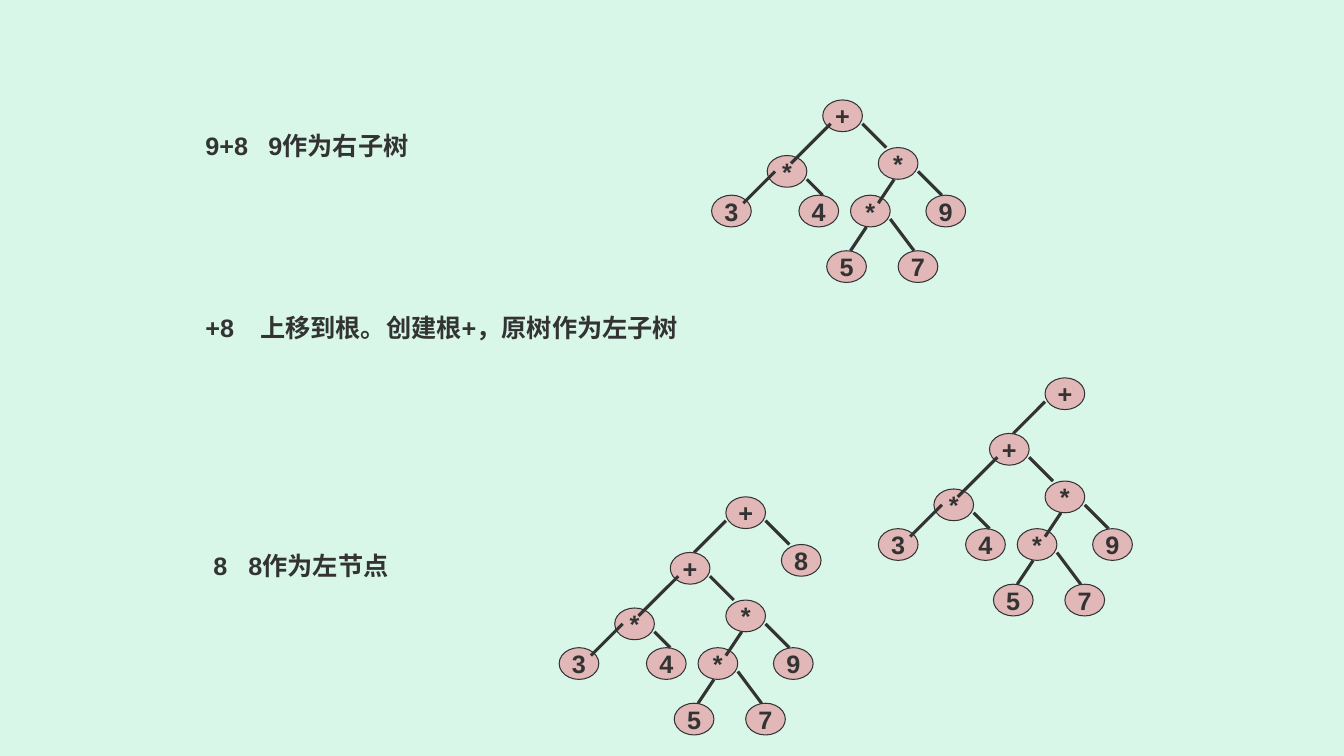
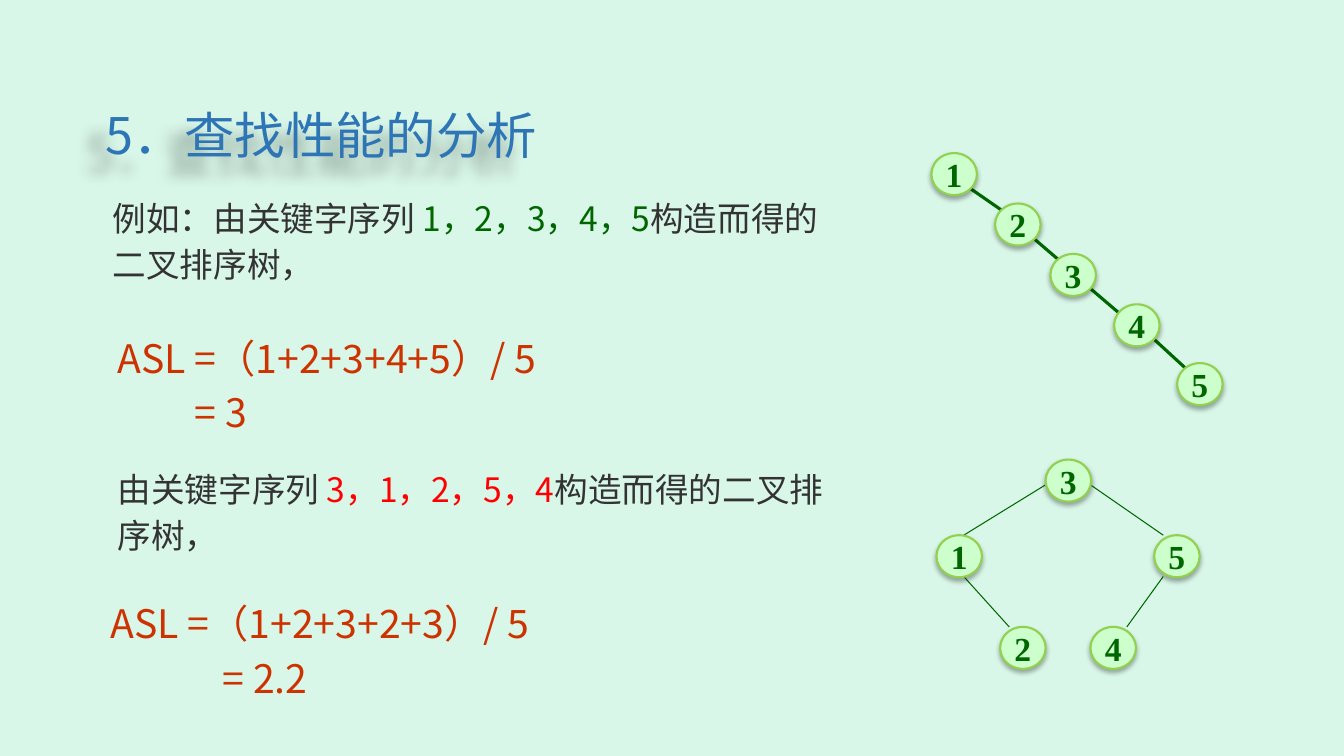
from dataclasses import dataclass

import lxml.etree
import pptx
import pptx.dml.color
import pptx.enum.shapes
import pptx.enum.text
import pptx.oxml
import pptx.oxml.ns
import pptx.util

Pt = pptx.util.Pt
qn = pptx.oxml.ns.qn
ALIGN = pptx.enum.text.PP_ALIGN
ANCHOR = pptx.enum.text.MSO_ANCHOR

BACKGROUND = "D9F7E9"
INK = "333333"
BLUE = "2E75B6"
GREEN = "006600"
RED = "FF0000"
RUST = "CC3300"
CJK_FONT = "Noto Sans CJK SC"


@dataclass
class TreeStyle:
    width: float
    height: float
    fill: str
    outline: str
    outline_width: float
    ink: str
    edge_width: float
    font: str
    size: float
    unit: float = 1
    edges_on_top: bool = False
    shadow: bool = False


GRID = 5.67
EXPRESSION = TreeStyle(5 * GRID, 4 * GRID, "E1B7B7", INK, 0.75, INK, 2.25,
                       "Arial", 18, unit=GRID, edges_on_top=True)
CHAIN = TreeStyle(32.5, 30, "CCFFCC", "92D050", 1.5, GREEN, 2.25,
                  "Times New Roman", 24, shadow=True)
BALANCED = TreeStyle(32.5, 30, "CCFFCC", "92D050", 1.5, GREEN, 0.75,
                     "Times New Roman", 24, shadow=True)

SUBTREE_NODES = [
    ("+", 0, 0), ("*", -7, 7), ("*", 7, 6), ("3", -14, 12), ("4", -3, 12),
    ("*", 3.5, 12), ("9", 13, 12), ("5", 0.5, 19), ("7", 9.5, 19),
]
SUBTREE_EDGES = [
    (1, 3, -4, 8), (5, 3, 8, 6), (-6, 9, -10, 13), (-2, 10, 0, 12),
    (9, 10, 7, 13), (12, 9, 15, 12), (5.5, 16, 3.5, 19), (8.5, 15, 11.5, 19),
]
ROOTED_NODES = SUBTREE_NODES + [("+", 7, -7)]
ROOTED_EDGES = SUBTREE_EDGES + [(7, -4, 3, 0)]
FULL_NODES = ROOTED_NODES + [("8", 14, -1)]
FULL_EDGES = ROOTED_EDGES + [(12, -4, 15, -1)]

CHAIN_NODES = [("1", 0, 0), ("2", 45.5, 36), ("3", 85, 72),
               ("4", 130.5, 108), ("5", 175.5, 150)]
CHAIN_EDGES = [(26, 24, 52, 42), (72, 60, 93, 78),
               (108, 92, 135, 115), (158, 132, 182, 154)]
BALANCED_NODES = [("3", 78, 0), ("1", 0, 54), ("5", 155.5, 54),
                  ("2", 45.5, 119.5), ("4", 110, 119.5)]
BALANCED_EDGES = [(78, 18, 19.5, 54), (110, 18, 162, 54),
                  (19.5, 83.5, 52, 119.5), (162, 83.5, 136, 119.5)]


def color(value):
    return pptx.dml.color.RGBColor.from_string(value)


def write(paragraph, text, font=CJK_FONT, size=24, ink=INK, bold=False):
    run = paragraph.add_run()
    run.text = text
    run.font.name = font
    run.font.size = Pt(size)
    run.font.bold = bold
    run.font.color.rgb = color(ink)
    east_asian = lxml.etree.Element(qn("a:ea"), typeface=CJK_FONT)
    run.font._element.find(qn("a:latin")).addnext(east_asian)


def set_indent(paragraph, indent):
    paragraph._p.get_or_add_pPr().set("marL", str(Pt(indent)))


def set_tab(paragraph, position):
    tabs = lxml.etree.SubElement(paragraph._p.get_or_add_pPr(), qn("a:tabLst"))
    lxml.etree.SubElement(tabs, qn("a:tab"), pos=str(Pt(position)), algn="l")


def add_shadow(shape, blur, distance, angle, opacity):
    shape.shadow.inherit = False
    effects = shape._element.spPr.find(qn("a:effectLst"))
    outer = lxml.etree.SubElement(
        effects, qn("a:outerShdw"), blurRad=str(Pt(blur)),
        dist=str(Pt(distance)), dir=str(angle * 60000), rotWithShape="0")
    black = lxml.etree.SubElement(outer, qn("a:srgbClr"), val="000000")
    lxml.etree.SubElement(black, qn("a:alpha"), val=str(opacity * 1000))


def add_text_box(slide, left, top, width, height):
    shape = slide.shapes.add_textbox(Pt(left), Pt(top), Pt(width), Pt(height))
    shape.text_frame.word_wrap = True
    return shape


def add_node(slide, label, left, top, style):
    shape = slide.shapes.add_shape(
        pptx.enum.shapes.MSO_SHAPE.OVAL,
        Pt(left), Pt(top), Pt(style.width), Pt(style.height))
    shape.shadow.inherit = False
    if style.shadow:
        add_shadow(shape, 3.5, 2.2, 90, 32)
    shape.fill.solid()
    shape.fill.fore_color.rgb = color(style.fill)
    shape.line.color.rgb = color(style.outline)
    shape.line.width = Pt(style.outline_width)
    frame = shape.text_frame
    frame.word_wrap = False
    frame.vertical_anchor = ANCHOR.MIDDLE
    paragraph = frame.paragraphs[0]
    paragraph.alignment = ALIGN.CENTER
    write(paragraph, label, font=style.font, size=style.size,
          ink=style.ink, bold=True)


def add_edge(slide, start_x, start_y, end_x, end_y, style):
    connector = slide.shapes.add_connector(
        pptx.enum.shapes.MSO_CONNECTOR.STRAIGHT,
        Pt(start_x), Pt(start_y), Pt(end_x), Pt(end_y))
    connector.line.color.rgb = color(style.ink)
    connector.line.width = Pt(style.edge_width)
    lxml.etree.SubElement(connector._element.spPr, qn("a:effectLst"))


def add_tree(slide, left, top, nodes, edges, style):
    def draw_nodes():
        for label, x, y in nodes:
            add_node(slide, label, left + x * style.unit,
                     top + y * style.unit, style)

    def draw_edges():
        for x1, y1, x2, y2 in edges:
            add_edge(slide, left + x1 * style.unit, top + y1 * style.unit,
                     left + x2 * style.unit, top + y2 * style.unit, style)

    steps = [draw_edges, draw_nodes]
    for step in reversed(steps) if style.edges_on_top else steps:
        step()


def add_step(slide, left, top, width, text, tab):
    paragraph = add_text_box(slide, left, top, width, 46).text_frame.paragraphs[0]
    set_tab(paragraph, tab)
    paragraph.line_spacing = 1.3
    write(paragraph, text, font="Arial", size=18, bold=True)


def add_title(slide, left, top, width, height, text):
    shape = add_text_box(slide, left, top, width, height)
    add_shadow(shape, 10, 19, 140, 35)
    shape.text_frame.vertical_anchor = ANCHOR.BOTTOM
    paragraph = shape.text_frame.paragraphs[0]
    paragraph.alignment = ALIGN.CENTER
    paragraph.line_spacing = 0.9
    write(paragraph, text, size=36, ink=BLUE)


def add_example(slide, left, top, width, lead, keys, key_ink):
    paragraph = add_text_box(slide, left, top, width, 74).text_frame.paragraphs[0]
    paragraph.line_spacing = 1.15
    write(paragraph, lead)
    write(paragraph, keys, ink=key_ink)
    write(paragraph, "构造而得的二叉排序树，")


def add_formula(slide, left, top, width, formula, result, indent):
    frame = add_text_box(slide, left, top, width, 85).text_frame
    lines = [(frame.paragraphs[0], formula, 0),
             (frame.add_paragraph(), result, indent)]
    for paragraph, text, margin in lines:
        set_indent(paragraph, margin)
        paragraph.line_spacing = 1.15
        write(paragraph, text, size=28, ink=RUST)


def add_slide(presentation):
    slide = presentation.slides.add_slide(presentation.slide_layouts[6])
    slide.background.fill.solid()
    slide.background.fill.fore_color.rgb = color(BACKGROUND)
    return slide


def build_expression_slide(presentation):
    slide = add_slide(presentation)
    add_step(slide, 139.7, 82.8, 261, "9+8\t9作为右子树", 45)
    add_step(slide, 139.7, 213, 578, "+8\t上移到根。创建根+，原树作为左子树", 39)
    add_step(slide, 145.4, 383, 227, "8\t8作为左节点", 25)
    add_tree(slide, 587.7, 71.4, SUBTREE_NODES, SUBTREE_EDGES, EXPRESSION)
    add_tree(slide, 706.8, 309.6, ROOTED_NODES, ROOTED_EDGES, EXPRESSION)
    add_tree(slide, 478.8, 394.6, FULL_NODES, FULL_EDGES, EXPRESSION)


def build_search_slide(presentation):
    slide = add_slide(presentation)
    add_title(slide, 66.2, 74.9, 327, 46.8, "5．查找性能的分析")
    add_example(slide, 73.4, 133.2, 526.3, "例如：由关键字序列 ",
                "1，2，3，4，5", GREEN)
    add_formula(slide, 77, 230.4, 354.2, "ASL =（1+2+3+4+5）/ 5", "= 3", 55)
    add_example(slide, 77, 326.9, 532.8, "由关键字序列 ",
                "3，1，2，5，4", RED)
    add_formula(slide, 72, 419.8, 398.2, "ASL =（1+2+3+2+3）/ 5", "= 2.2", 80)
    add_tree(slide, 665.3, 109.4, CHAIN_NODES, CHAIN_EDGES, CHAIN)
    add_tree(slide, 668.9, 328.3, BALANCED_NODES, BALANCED_EDGES, BALANCED)


def main():
    presentation = pptx.Presentation()
    presentation.slide_width = Pt(960)
    presentation.slide_height = Pt(540)
    build_expression_slide(presentation)
    build_search_slide(presentation)
    presentation.save("out.pptx")


if __name__ == "__main__":
    main()
